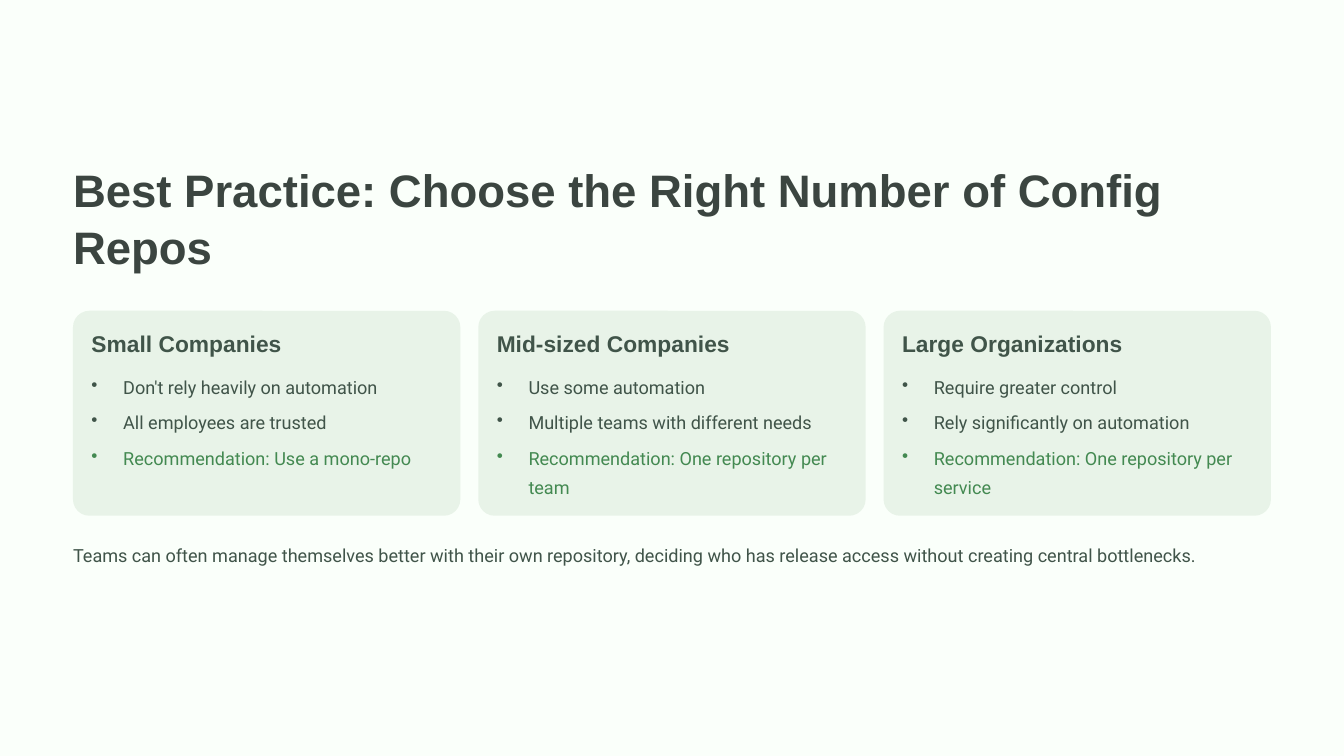
from lxml.etree import SubElement
from pptx import Presentation
from pptx.dml.color import RGBColor
from pptx.enum.shapes import MSO_SHAPE
from pptx.enum.text import MSO_ANCHOR, MSO_AUTO_SIZE, PP_ALIGN
from pptx.oxml.ns import qn
from pptx.util import Pt

COLORS = {
    "background": "FAFFFA",
    "card": "E8F3E8",
    "title": "3B4540",
    "text": "405449",
    "accent": "438951",
}
FONTS = {
    "title": {"name": "Arial", "size": Pt(39), "bold": True},
    "heading": {"name": "Arial", "size": Pt(19.5), "bold": True},
    "body": {"name": "Roboto", "size": Pt(15.5), "bold": False},
}
LINE_SPACING = {"title": Pt(48.5), "heading": Pt(24), "body": Pt(25)}
FRAME = {
    "margin_left": 0,
    "margin_top": 0,
    "margin_right": 0,
    "margin_bottom": 0,
    "word_wrap": True,
    "auto_size": MSO_AUTO_SIZE.NONE,
    "vertical_anchor": MSO_ANCHOR.TOP,
}

MARGIN = 62.6
CONTENT_WIDTH = 1026.8
CARD_TOP, CARD_WIDTH, CARD_HEIGHT = 266.4, 332, 175.7
CARD_PITCH = (CONTENT_WIDTH - CARD_WIDTH) / 2
PADDING = 15.8
BULLET_INDENT = 27.2
BULLET_GAP = 5.5

TITLE = "Best Practice: Choose the Right Number of Config Repos"
CARDS = [
    ("Small Companies", [
        "Don't rely heavily on automation",
        "All employees are trusted",
        "Recommendation: Use a mono-repo",
    ]),
    ("Mid-sized Companies", [
        "Use some automation",
        "Multiple teams with different needs",
        "Recommendation: One repository per team",
    ]),
    ("Large Organizations", [
        "Require greater control",
        "Rely significantly on automation",
        "Recommendation: One repository per service",
    ]),
]
CONCLUSION = (
    "Teams can often manage themselves better with their own repository, "
    "deciding who has release access without creating central bottlenecks."
)


def apply(target, values):
    """Set each attribute in values on the target."""
    for name, value in values.items():
        setattr(target, name, value)


def place(shape, left, top, width, height):
    """Move and size a shape, in points."""
    apply(shape, {"left": Pt(left), "top": Pt(top),
                  "width": Pt(width), "height": Pt(height)})


def write(paragraph, text, style, color):
    """Fill a paragraph with one formatted run."""
    apply(paragraph, {"alignment": PP_ALIGN.LEFT, "line_spacing": LINE_SPACING[style]})
    run = paragraph.add_run()
    run.text = text
    apply(run.font, FONTS[style])
    run.font.color.rgb = RGBColor.from_string(COLORS[color])


def add_bullet(paragraph):
    """Give a paragraph a hanging bullet."""
    properties = paragraph._p.get_or_add_pPr()
    properties.set("marL", str(Pt(BULLET_INDENT)))
    properties.set("indent", str(-Pt(BULLET_INDENT)))
    SubElement(properties, qn("a:buChar"), char="•")


def add_title(slide, text):
    """Format and fill the title placeholder."""
    title = slide.shapes.title
    place(title, MARGIN, 137.5, CONTENT_WIDTH, 98)
    apply(title.text_frame, FRAME)
    write(title.text_frame.paragraphs[0], text, "title", "title")


def add_text(slide, bounds, text, style):
    """Add a text box with one paragraph."""
    box = slide.shapes.add_textbox(*map(Pt, bounds))
    apply(box.text_frame, FRAME)
    write(box.text_frame.paragraphs[0], text, style, "text")


def add_list(slide, bounds, items):
    """Add a bulleted list whose last item is accented."""
    frame = slide.shapes.add_textbox(*map(Pt, bounds)).text_frame
    apply(frame, FRAME)
    for index, item in enumerate(items):
        paragraph = frame.add_paragraph() if index else frame.paragraphs[0]
        add_bullet(paragraph)
        if index:
            paragraph.space_before = Pt(BULLET_GAP)
        color = "accent" if index == len(items) - 1 else "text"
        write(paragraph, item, "body", color)


def add_card(slide, left, heading, items):
    """Add a rounded card with a heading and a list."""
    card = slide.shapes.add_shape(
        MSO_SHAPE.ROUNDED_RECTANGLE,
        *map(Pt, (left, CARD_TOP, CARD_WIDTH, CARD_HEIGHT)))
    card.adjustments[0] = 0.08
    card.shadow.inherit = False
    card.fill.solid()
    card.fill.fore_color.rgb = RGBColor.from_string(COLORS["card"])
    card.line.fill.background()
    inner_left = left + PADDING
    inner_width = CARD_WIDTH - 2 * PADDING
    add_text(slide, (inner_left, CARD_TOP + PADDING, inner_width, 24.5), heading, "heading")
    add_list(slide, (inner_left, 316, inner_width, 111), items)


def main():
    """Build the slide and save it."""
    presentation = Presentation()
    apply(presentation, {"slide_width": Pt(1152), "slide_height": Pt(648)})
    slide = presentation.slides.add_slide(presentation.slide_layouts[5])
    slide.background.fill.solid()
    slide.background.fill.fore_color.rgb = RGBColor.from_string(COLORS["background"])
    add_title(slide, TITLE)
    for index, (heading, items) in enumerate(CARDS):
        add_card(slide, MARGIN + index * CARD_PITCH, heading, items)
    add_text(slide, (MARGIN, 460, CONTENT_WIDTH, 50), CONCLUSION, "body")
    presentation.save("out.pptx")


if __name__ == "__main__":
    main()
